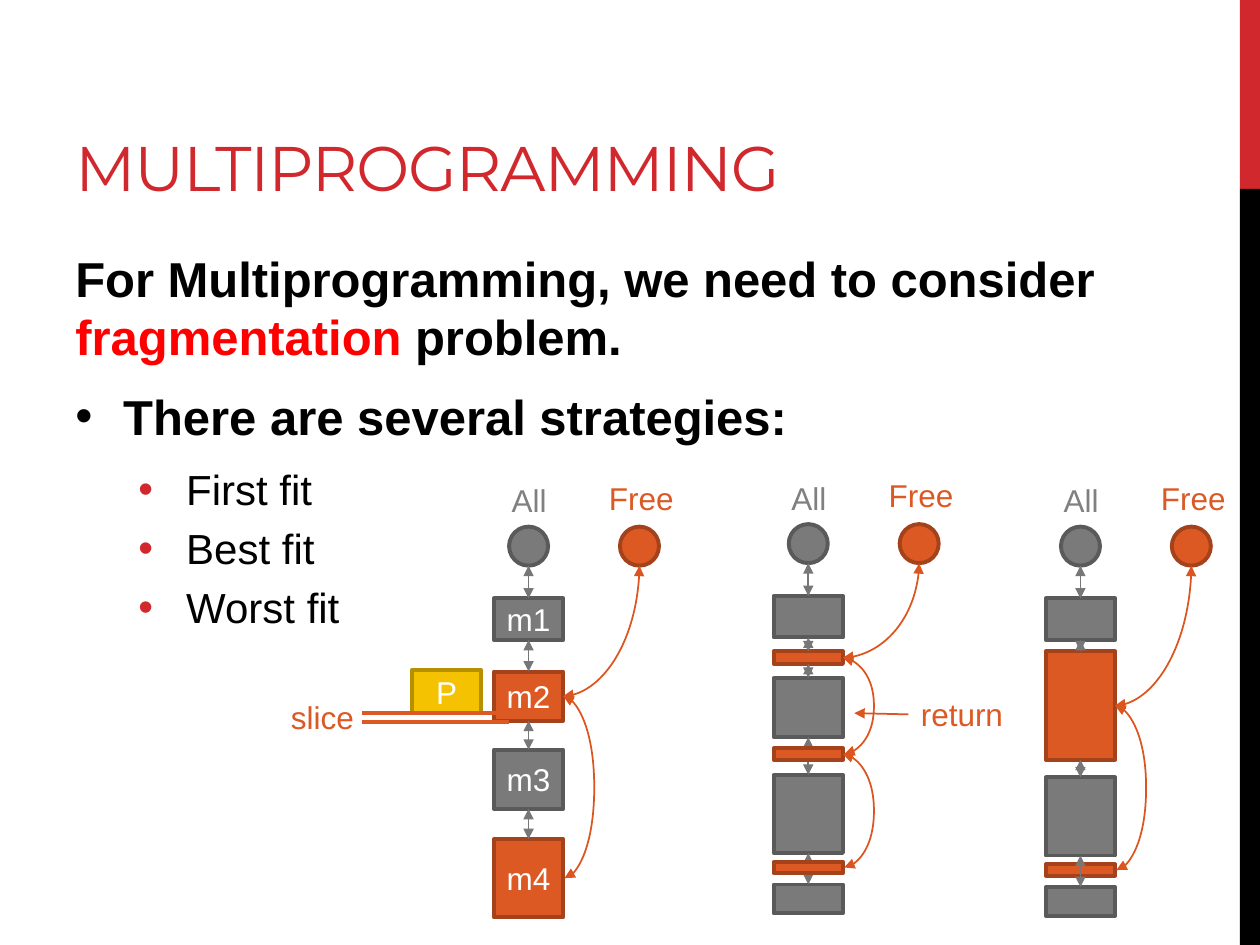
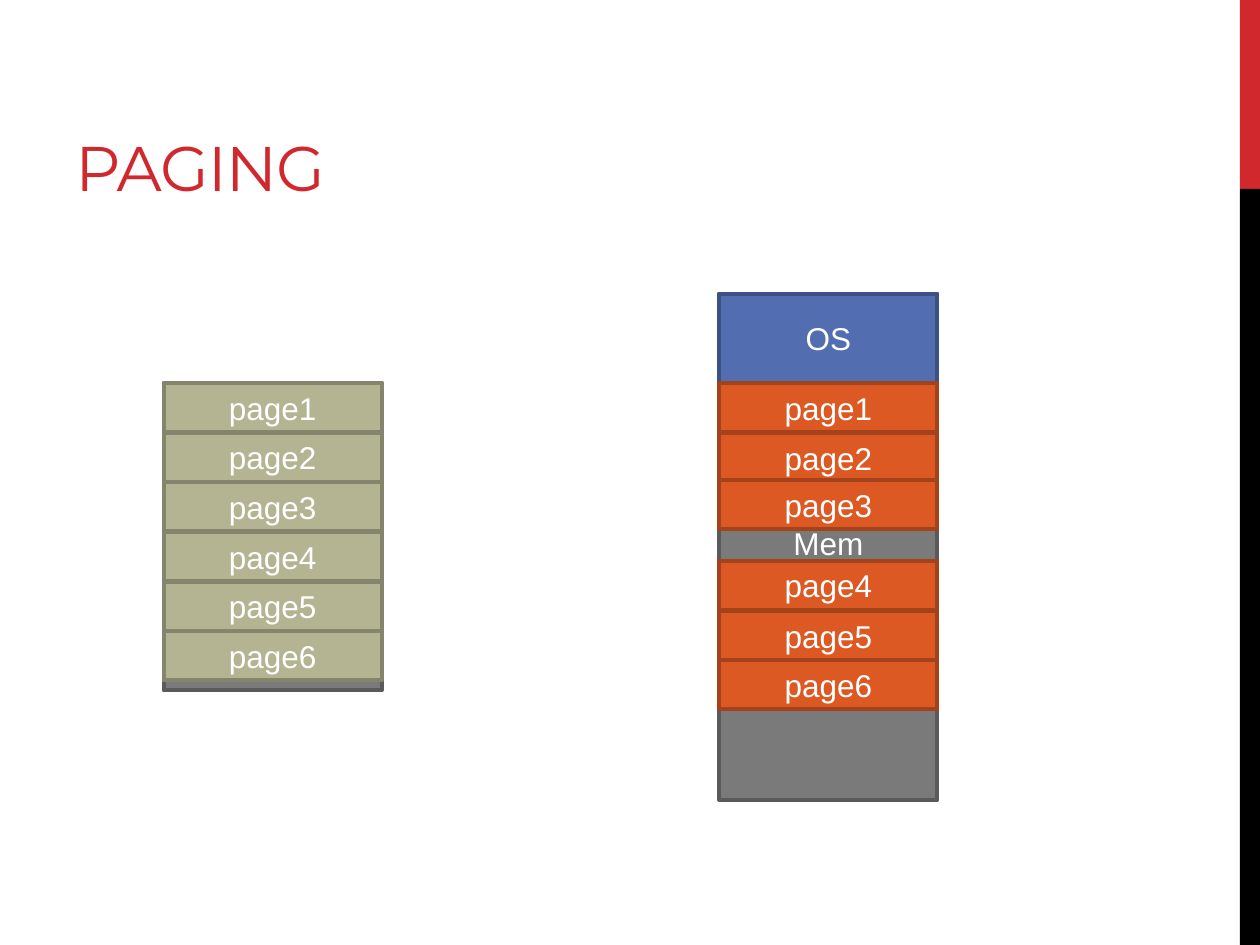
"""Build two slides on memory management: multiprogramming and paging."""
from lxml import etree
from pptx import Presentation
from pptx.dml.color import RGBColor
from pptx.enum.shapes import MSO_CONNECTOR, MSO_SHAPE
from pptx.enum.text import MSO_ANCHOR, PP_ALIGN
from pptx.oxml.ns import qn
from pptx.util import Inches, Pt

RECT, OVAL = MSO_SHAPE.RECTANGLE, MSO_SHAPE.OVAL
STRAIGHT, CURVE = MSO_CONNECTOR.STRAIGHT, MSO_CONNECTOR.CURVE
LEFT, CENTER = PP_ALIGN.LEFT, PP_ALIGN.CENTER
TOP, MIDDLE, BOTTOM = MSO_ANCHOR.TOP, MSO_ANCHOR.MIDDLE, MSO_ANCHOR.BOTTOM

COLORS = {
    "red": "D1282E", "black": "000000", "white": "FFFFFF", "alert": "FF0000",
    "label": "808080", "link": "777777", "free_link": "DC551F",
    "used": "7A7A7A", "used_edge": "5A5A5A",
    "free": "DC5924", "free_edge": "A3421B",
    "process": "F5C201", "process_edge": "B59001",
    "system": "526DB0", "system_edge": "3D5182",
    "segment": "B4B392", "segment_edge": "85846C",
}
SLIDE_W, SLIDE_H = 10, 7.5
BODY_FONT, TITLE_FONT = "Arial", "Montserrat"
BLOCK_W, NODE, BULGE = 0.55, 0.31, 0.25
PAGE_W, PAGE_H = 1.73, 0.39


def rgb(name):
    """Return a named colour."""
    return RGBColor.from_string(COLORS[name])


def style(run, color, size=18, font=BODY_FONT, bold=False):
    """Format one run."""
    run.font.size, run.font.name, run.font.bold = Pt(size), font, bold
    run.font.color.rgb = rgb(color)


def add_box(slide, left, top, width, height, kind, text="", form=RECT, lift=0):
    """Add a filled, edged shape with a centred label, raised by lift."""
    box = slide.shapes.add_shape(form, *map(Inches, (left, top, width, height)))
    box.shadow.inherit = False
    box.fill.solid()
    box.fill.fore_color.rgb = rgb(kind)
    if kind + "_edge" in COLORS:
        box.line.color.rgb = rgb(kind + "_edge")
        box.line.width = Pt(2.25)
    else:
        box.line.fill.background()
    if text:
        box.text_frame.text = text
        box.text_frame.vertical_anchor = MIDDLE
        box.text_frame.margin_bottom = Inches(0.05 + 2 * lift)
        paragraph = box.text_frame.paragraphs[0]
        paragraph.alignment = CENTER
        style(paragraph.runs[0], "white")


def add_frame(slide, left, top, width, height, wrap=True, anchor=TOP):
    """Add an empty text box and return its frame."""
    frame = slide.shapes.add_textbox(*map(Inches, (left, top, width, height))).text_frame
    frame.word_wrap = wrap
    frame.vertical_anchor = anchor
    return frame


def add_label(slide, left, top, width, text, color, align=CENTER):
    """Add a one-line label."""
    frame = add_frame(slide, left, top, width, 0.4, wrap=False)
    frame.text = text
    frame.paragraphs[0].alignment = align
    style(frame.paragraphs[0].runs[0], color)


def add_line(slide, start, end, color, ends=(), width=1, form=STRAIGHT):
    """Add a connector with arrowheads at the given ends."""
    line = slide.shapes.add_connector(form, *map(Inches, (*start, *end)))
    line.line.color.rgb = rgb(color)
    line.line.width = Pt(width)
    properties = line.line._get_or_add_ln()
    for end_name in ends:
        etree.SubElement(properties, qn(f"a:{end_name}"), type="triangle")
    etree.SubElement(line._element.spPr, qn("a:effectLst"))
    return line


def add_arrow(slide, start, end, color="link", form=STRAIGHT):
    """Add a connector with arrowheads at both ends."""
    return add_line(slide, start, end, color, ("headEnd", "tailEnd"), form=form)


def add_quarter_curve(slide, start, end):
    """Curve down from start and into end from its right."""
    middle_x, middle_y = (start[0] + end[0]) / 2, (start[1] + end[1]) / 2
    run, rise = (end[1] - start[1]) / 2, (start[0] - end[0]) / 2
    curve = add_arrow(slide, (middle_x - run, middle_y - rise),
                      (middle_x + run, middle_y + rise), "free_link", CURVE)
    properties = curve._element.spPr
    properties.find(qn("a:xfrm")).set("rot", "5400000")
    properties.find(qn("a:prstGeom")).set("prst", "curvedConnector2")


def add_side_curve(slide, x, start_y, end_y):
    """Join two heights by a curve that bulges to the right."""
    slant = 0.01
    curve = add_arrow(slide, (x, start_y), (x + slant, end_y), "free_link", CURVE)
    guides = curve._element.spPr.find(qn("a:prstGeom")).get_or_add_avLst()
    etree.SubElement(guides, qn("a:gd"), name="adj1",
                     fmla=f"val {round(BULGE / slant * 100000)}")


def add_slide(deck, title):
    """Add a blank slide with the side band and title."""
    slide = deck.slides.add_slide(deck.slide_layouts[6])
    band_left, split = 9.84, SLIDE_H / 5
    add_box(slide, band_left, 0, SLIDE_W - band_left, split, "red")
    add_box(slide, band_left, split, SLIDE_W - band_left, SLIDE_H - split, "black")
    frame = add_frame(slide, 0.5, 0.17, 6.33, 1.5, anchor=BOTTOM)
    frame.text = title
    heading = frame.paragraphs[0].runs[0]
    style(heading, "red", 36, TITLE_FONT)
    heading.font._element.set("spc", "-60")
    return slide


def add_paragraph(frame, parts, size, bold, after=0, indent=0, bullet=None):
    """Fill the next paragraph with coloured parts and an optional bullet."""
    first = frame.paragraphs[0]
    paragraph = frame.add_paragraph() if first.runs else first
    for text, color in parts:
        run = paragraph.add_run()
        run.text = text
        style(run, color, size, bold=bold)
    paragraph.line_spacing = 1.0
    paragraph.space_before, paragraph.space_after = Pt(size * 0.2), Pt(after)
    if bullet:
        properties = paragraph._p.get_or_add_pPr()
        properties.set("marL", str(Inches(indent)))
        properties.set("indent", str(Inches(-0.38)))
        tint = etree.SubElement(properties, qn("a:buClr"))
        etree.SubElement(tint, qn("a:srgbClr"), val=COLORS[bullet])
        etree.SubElement(properties, qn("a:buFont"), typeface=BODY_FONT)
        etree.SubElement(properties, qn("a:buChar"), char="•")


def add_strategies(slide):
    """Add the introduction and the list of fit strategies."""
    frame = add_frame(slide, 0.5, 1.92, 8.33, 4.78)
    add_paragraph(frame, [("For Multiprogramming, we need to consider ", "black"),
                          ("fragmentation", "alert"), (" problem.", "black")], 28, True, 6)
    add_paragraph(frame, [("There are several strategies:", "black")],
                  28, True, 6, 0.38, "black")
    for strategy in ("First fit", "Best fit", "Worst fit"):
        add_paragraph(frame, [(strategy, "black")], 24, False, 0, 0.88, "red")


def add_memory_list(slide, left, top, blocks, slivers=(), slivers_behind=False):
    """Draw memory blocks threaded by an All list and a Free list."""
    axis, right = left + BLOCK_W / 2, left + BLOCK_W
    free_left = left + 1
    add_label(slide, left + 0.04, top - 0.41, 0.48, "All", "label")
    add_label(slide, left + 0.81, top - 0.43, 0.72, "Free", "free")
    add_box(slide, axis - NODE / 2, top, NODE, NODE, "used", form=OVAL)
    add_box(slide, free_left, top, NODE, NODE, "free", form=OVAL)

    def add_slivers():
        for sliver_top, height in slivers:
            add_box(slide, left, sliver_top, BLOCK_W, height, "free")

    for block_top, height, kind, name in blocks:
        add_box(slide, left, block_top, BLOCK_W, height, kind, name)
    if slivers_behind:
        add_slivers()
    bottom = top + NODE
    for block_top, height, *_ in blocks:
        add_arrow(slide, (axis, bottom), (axis, block_top))
        bottom = block_top + height
    if not slivers_behind:
        add_slivers()

    free_blocks = [(y, h) for y, h, kind, _ in blocks if kind == "free"]
    centers = [y + h / 2 for y, h in sorted([*free_blocks, *slivers])]
    add_quarter_curve(slide, (free_left + NODE / 2, top + NODE), (right, centers[0]))
    for start_y, end_y in zip(centers, centers[1:]):
        add_side_curve(slide, right, start_y, end_y)


def add_multiprogramming(deck):
    """Build the slide on fragmentation and fit strategies."""
    slide = add_slide(deck, "MULTIPROGRAMMING")
    add_strategies(slide)
    add_memory_list(slide, 3.92, 4.18, [
        (4.75, 0.33, "used", "m1"), (5.33, 0.39, "free", "m2"),
        (5.95, 0.47, "used", "m3"), (6.66, 0.62, "free", "m4")])
    add_memory_list(slide, 6.14, 4.16, [
        (4.73, 0.33, "used", ""), (5.17, 0.1, "free", ""), (5.38, 0.47, "used", ""),
        (6.15, 0.62, "used", ""), (7.02, 0.23, "used", "")],
        slivers=[(5.94, 0.09), (6.84, 0.09)])
    add_memory_list(slide, 8.3, 4.18, [
        (4.75, 0.33, "used", ""), (5.17, 0.86, "free", ""),
        (6.17, 0.62, "used", ""), (7.04, 0.23, "used", "")],
        slivers=[(6.86, 0.09)], slivers_behind=True)
    add_box(slide, 3.27, 5.32, BLOCK_W, 0.34, "process", "P")
    for cut in (5.73, 5.66):
        add_line(slide, (2.87, cut), (4.04, cut), "free", width=2.25)
    add_label(slide, 2.21, 5.49, 0.71, "slice", "free", LEFT)
    add_label(slide, 7.21, 5.47, 0.86, "return", "free", LEFT)
    add_line(slide, (7.21, 5.67), (6.78, 5.66), "free_link", ("tailEnd",))


def add_pages(slide, left, tops, kind):
    """Stack numbered pages at the given heights."""
    for number, top in enumerate(tops, 1):
        add_box(slide, left, top, PAGE_W, PAGE_H, kind, f"page{number}")


def add_paging(deck):
    """Build the slide that maps a segment's pages into memory."""
    slide = add_slide(deck, "PAGING")
    memory_left, segment_left = 5.71, 1.3
    first_page, last_page = 3.04, 5.01
    pitch = (last_page - first_page) / 5
    add_box(slide, memory_left, 2.33, PAGE_W, 4.02, "used", "Mem", lift=0.03)
    add_box(slide, memory_left, 2.33, PAGE_W, 0.71, "system", "OS")
    add_pages(slide, memory_left, (first_page, 3.44, 3.81, 4.45, 4.85, 5.24), "free")
    add_box(slide, segment_left, first_page, PAGE_W, 2.44, "used")
    add_pages(slide, segment_left, [first_page + pitch * i for i in range(6)], "segment")


def main():
    """Build and save the deck."""
    deck = Presentation()
    deck.slide_width, deck.slide_height = Inches(SLIDE_W), Inches(SLIDE_H)
    add_multiprogramming(deck)
    add_paging(deck)
    deck.save("out.pptx")


main()
